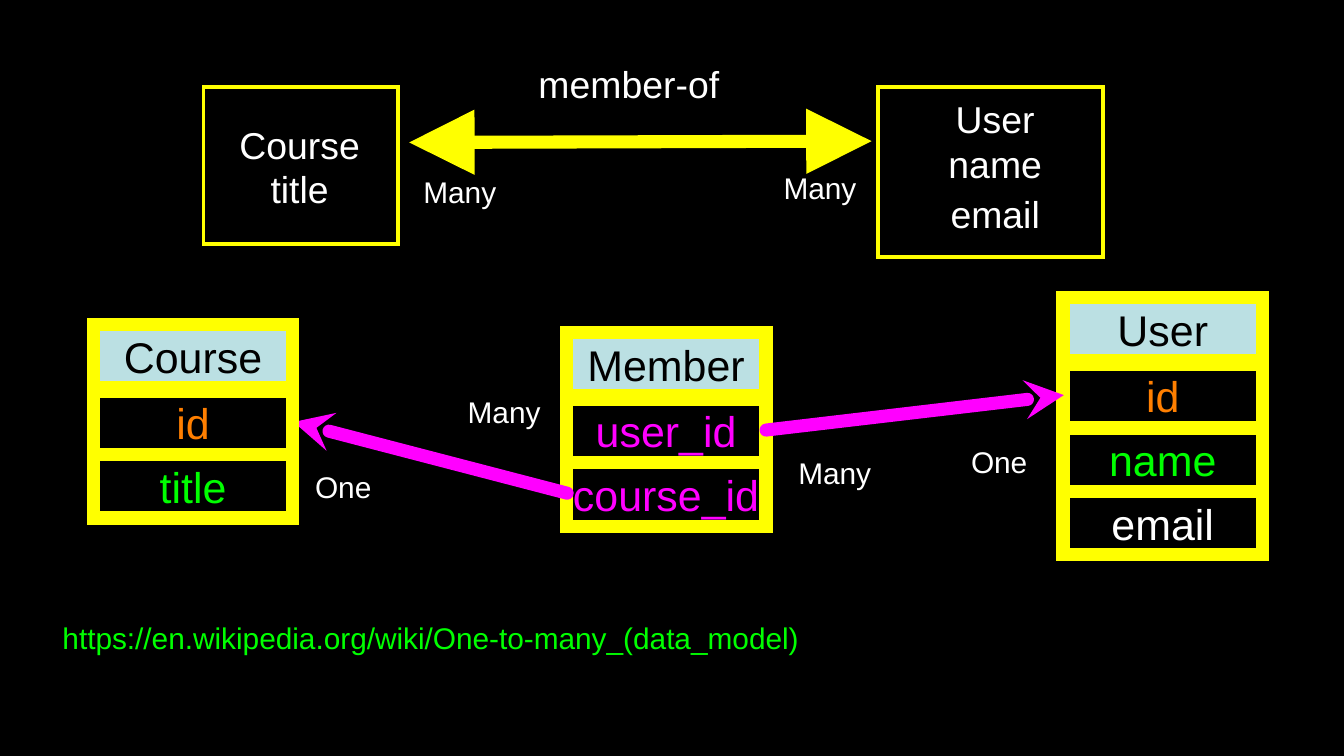
from dataclasses import dataclass

from lxml.etree import SubElement
from pptx import Presentation
from pptx.dml.color import RGBColor as RGB
from pptx.enum.shapes import MSO_CONNECTOR as Connector, MSO_SHAPE as Shape
from pptx.enum.text import MSO_ANCHOR as Anchor, PP_ALIGN as Align
from pptx.oxml.ns import qn
from pptx.util import Pt

PX = 4572


@dataclass(frozen=True)
class Theme:
    """Colours, type sizes and line widths of the slide."""
    font: str = "Arial"
    back: str = "000000"
    text: str = "FFFFFF"
    frame: str = "FFFF00"
    header: str = "BBE0E3"
    header_text: str = "000000"
    primary_key: str = "FF7F00"
    foreign_key: str = "FF00FF"
    logical_key: str = "00FF00"
    concept_size: int = 20
    table_size: int = 23
    label_size: int = 16
    thin: int = 2
    thick: int = 7


THEME = Theme()


def emu(*lengths):
    """Turn px lengths into EMU."""
    return [length * PX for length in lengths]


def write(frame, lines, size, color, inset=(0, 0), anchor=Anchor.MIDDLE, align=Align.CENTER):
    """Fill a text frame with one paragraph per line."""
    frame.word_wrap = True
    frame.vertical_anchor = anchor
    frame.margin_left = frame.margin_right = inset[0] * PX
    frame.margin_top = frame.margin_bottom = inset[1] * PX
    for index, line in enumerate(lines):
        paragraph = frame.add_paragraph() if index else frame.paragraphs[0]
        paragraph.alignment = align
        run = paragraph.add_run()
        run.text = line
        run.font.name = THEME.font
        run.font.size = Pt(size)
        run.font.color.rgb = RGB.from_string(color)


def add_caption(slide, box, *lines):
    """Place centred text of the concept diagram."""
    caption = slide.shapes.add_textbox(*emu(*box))
    write(caption.text_frame, lines, THEME.concept_size, THEME.text)


def add_label(slide, box, words, color=THEME.text):
    """Place a small left-aligned label."""
    label = slide.shapes.add_textbox(*emu(*box))
    write(label.text_frame, [words], THEME.label_size, color, (12, 6), Anchor.TOP, Align.LEFT)


def add_frame(slide, box, width, fill=None):
    """Draw a sharp yellow rectangle, filled only when a fill is given."""
    frame = slide.shapes.add_shape(Shape.RECTANGLE, *emu(*box))
    frame.shadow.inherit = False
    if fill:
        frame.fill.solid()
        frame.fill.fore_color.rgb = RGB.from_string(fill)
    else:
        frame.fill.background()
    frame.line.color.rgb = RGB.from_string(THEME.frame)
    frame.line.width = Pt(width)
    SubElement(frame.line._ln, qn("a:miter"), lim="800000")
    return frame


def add_arrow(slide, start, end, color, heads, kind, scale, cap="flat"):
    """Draw a thick line with the given arrowheads."""
    arrow = slide.shapes.add_connector(Connector.STRAIGHT, *emu(*start, *end))
    arrow.line.color.rgb = RGB.from_string(color)
    arrow.line.width = Pt(THEME.thick)
    outline = arrow.line._ln
    outline.set("cap", cap)
    for head in heads:
        SubElement(outline, qn(f"a:{head}"), type=kind, w=scale, len=scale)
    SubElement(arrow._element.spPr, qn("a:effectLst"))


def add_reference(slide, start, end):
    """Draw a foreign key arrow whose head is at the start."""
    add_arrow(slide, start, end, THEME.foreign_key, ["headEnd"], "stealth", "med", "rnd")


def add_table_box(slide, left, top, name, columns):
    """Draw a header and, below it, one cell per column at an equal pitch."""
    width, height, header_pitch, pitch = 297, 94, 99, 95
    header = add_frame(slide, (left, top, width, height), THEME.thick, THEME.header)
    write(header.text_frame, [name], THEME.table_size, THEME.header_text)
    for row, (column, color) in enumerate(columns):
        cell_top = top + header_pitch + row * pitch
        cell = add_frame(slide, (left, cell_top, width, height), THEME.thick)
        write(cell.text_frame, [column], THEME.table_size, color)


def add_concepts(slide, left, top):
    """Draw the many-to-many relation between two entities."""
    def at(x, y, *size):
        return (left + x, top + y, *size)

    add_frame(slide, at(1004, 45, 334, 253), THEME.thin)
    add_frame(slide, at(0, 45, 289, 233), THEME.thin)
    add_caption(slide, at(46, 93, 194, 140), "Course", "title")
    add_arrow(slide, at(306, 127), at(994, 125), THEME.frame, ["headEnd", "tailEnd"],
              "triangle", "lg")
    add_caption(slide, at(477, 1, 312, 76), "member-of")
    for y, words in [(54, "User"), (120, "name"), (195, "email")]:
        add_caption(slide, at(1079, y, 198, 76), words)
    add_label(slide, at(315, 168, 150, 64), "Many")
    add_label(slide, at(851, 162, 150, 64), "Many")


def add_schema(slide, left, top):
    """Draw the three tables with the keys that join them."""
    def at(x, y, *size):
        return (left + x, top + y, *size)

    add_table_box(slide, *at(704, 52), "Member", [
        ("user_id", THEME.foreign_key), ("course_id", THEME.foreign_key)])
    add_table_box(slide, *at(1443, 0), "User", [
        ("id", THEME.primary_key), ("name", THEME.logical_key), ("email", THEME.text)])
    add_reference(slide, at(298, 185), at(705, 291))
    add_table_box(slide, *at(0, 40), "Course", [
        ("id", THEME.primary_key), ("title", THEME.logical_key)])
    add_reference(slide, at(1444, 145), at(1001, 197))
    for x, y, words in [(1037, 227, "Many"), (1294, 211, "One"),
                        (318, 249, "One"), (545, 137, "Many")]:
        add_label(slide, at(x, y, 150, 64), words)


def main():
    """Build and save the slide."""
    deck = Presentation()
    deck.slide_width, deck.slide_height = emu(2000, 1125)
    slide = deck.slides.add_slide(deck.slide_layouts[6])
    slide.background.fill.solid()
    slide.background.fill.fore_color.rgb = RGB.from_string(THEME.back)
    add_concepts(slide, 303, 85)
    add_schema(slide, 139, 443)
    add_label(slide, (81, 916, 1210, 64),
              "https://en.wikipedia.org/wiki/One-to-many_(data_model)", THEME.logical_key)
    deck.save("out.pptx")


if __name__ == "__main__":
    main()
